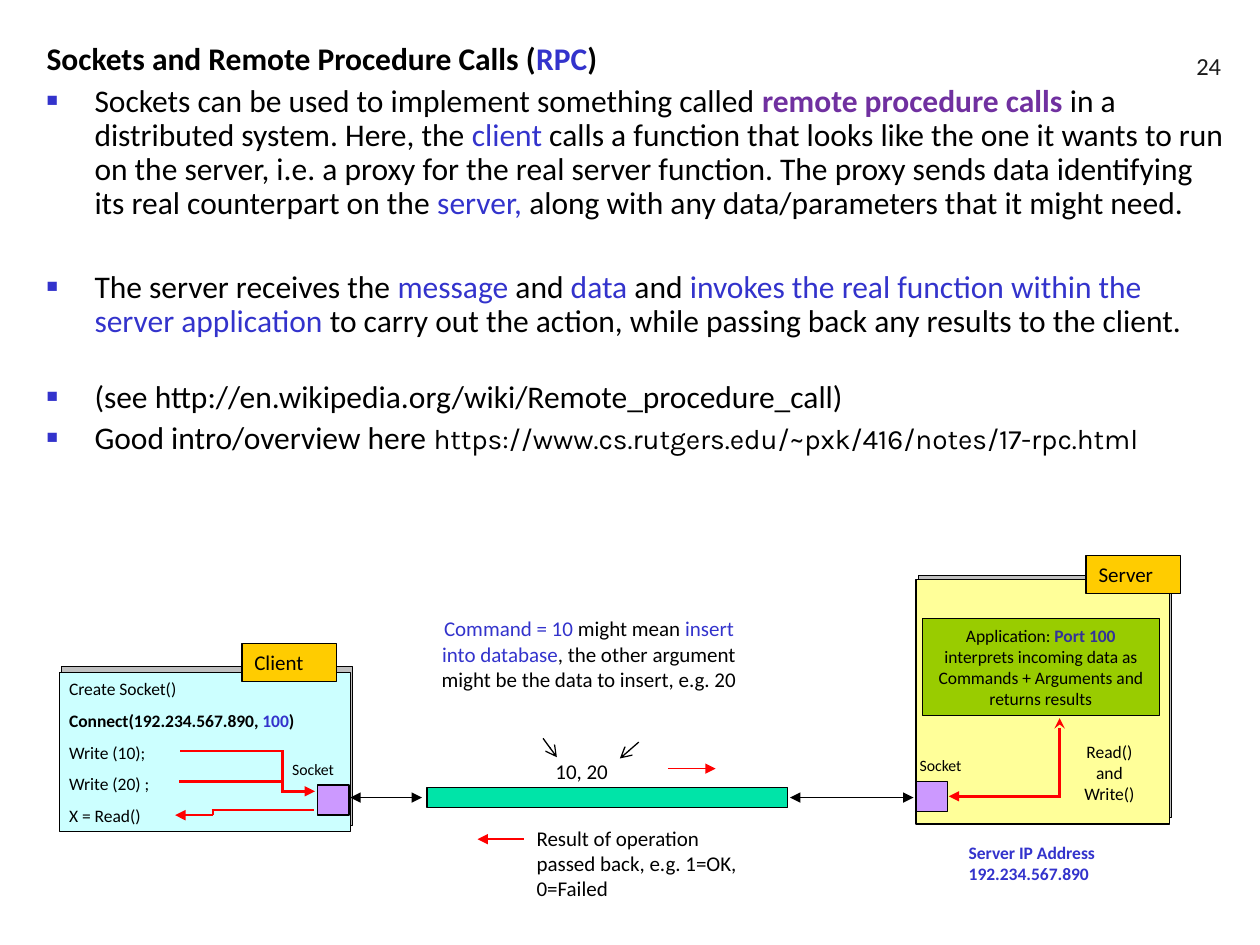
"""Build the slide on sockets and remote procedure calls."""
import pptx
import pptx.dml.color
import pptx.enum.shapes
import pptx.enum.text
import pptx.oxml
import pptx.oxml.ns
import pptx.util
from lxml import etree

Inches = pptx.util.Inches
Pt = pptx.util.Pt
RGB = pptx.dml.color.RGBColor
ALIGN = pptx.enum.text.PP_ALIGN
ANCHOR = pptx.enum.text.MSO_ANCHOR
qn = pptx.oxml.ns.qn

BLACK = RGB(0, 0, 0)
INK = RGB(0x1C, 0x1C, 0x1C)
BLUE = RGB(0x33, 0x33, 0xCC)
NAVY = RGB(0x33, 0x33, 0x99)
PURPLE = RGB(0x70, 0x30, 0xA0)
RED = RGB(0xFF, 0, 0)
GREY = RGB(0xC0, 0xC0, 0xC0)
TEAL = RGB(0, 0xE4, 0xA8)
CYAN = RGB(0xCC, 0xFF, 0xFF)
YELLOW = RGB(0xFF, 0xFF, 0x99)
GOLD = RGB(0xFF, 0xCC, 0)
LILAC = RGB(0xCC, 0x99, 0xFF)
GREEN = RGB(0x99, 0xCC, 0)

HEADING = [("Sockets and Remote Procedure Calls (", BLACK, True), ("RPC", BLUE, True), (")", BLACK, True)]
BULLETS = [
    (4.5, [
        ("Sockets can be used to implement something called ",),
        ("remote procedure calls", PURPLE, True),
        (" in a distributed system. Here, the ",),
        ("client", BLUE),
        (" calls a function that looks like the one it wants to run on the server, i.e. a proxy for the "
         "real server function. The proxy sends data identifying its real counterpart on the ",),
        ("server,", BLUE),
        (" along with any data/parameters that it might need.",),
    ]),
    (28.8, [
        ("The server receives the ",),
        ("message ", BLUE),
        ("and",),
        (" data", BLUE),
        (" and ",),
        ("invokes the real function within the server application", BLUE),
        (" to carry out the action, while passing back any results to the client.",),
    ]),
    (24, [("(see http://en.wikipedia.org/wiki/Remote_procedure_call)",)]),
    (4, [
        ("Good intro/overview here ",),
        ("https://www.cs.rutgers.edu/~pxk/416/notes/17-rpc.html", BLACK, False, 16, "Karla"),
    ]),
]

BOXES = [
    (0.49, 5.29, 2.31, 1.26, GREY),
    (7.29, 4.57, 2.01, 1.92, GREY),
    (3.39, 6.25, 2.86, 0.16, TEAL),
    (0.47, 5.34, 2.31, 1.26, CYAN),
    (7.27, 4.6, 2.01, 1.94, YELLOW),
    (2.52, 6.23, 0.25, 0.24, LILAC),
    (7.27, 6.2, 0.25, 0.24, LILAC),
]
LABELLED_BOXES = [
    (1.92, 5.11, 0.75, 0.3, GOLD, 12, ALIGN.LEFT, [[("Client",)]]),
    (8.62, 4.41, 0.75, 0.3, GOLD, 12, ALIGN.LEFT, [[("Server",)]]),
    (7.32, 4.91, 1.88, 0.77, GREEN, 10, ALIGN.CENTER, [[
        ("Application: ",), ("Port 100", NAVY, True), ("\n",),
        ("interprets incoming data as Commands + Arguments and returns results",)]]),
]
LABELS = [
    (2.22, 5.98, 0.82, 0.25, 9, ALIGN.LEFT, [[("Socket",)]]),
    (7.2, 5.95, 0.82, 0.25, 9, ALIGN.LEFT, [[("Socket",)]]),
    (7.59, 6.63, 1.63, 0.44, 10, ALIGN.LEFT, [[
        ("Server IP Address", BLUE, True), ("\n",), ("192.234.567.890", BLUE, True)]]),
    (0.45, 5.33, 2.39, 1.28, 10, ALIGN.LEFT, [
        [("Create Socket()",)],
        [("Connect(192.234.567.890, ", BLACK, True), ("100", BLUE, True), (")", BLACK, True)],
        [("Write (10);",)],
        [("Write (20) ;",)],
        [("X = Read()",)]]),
    (4.31, 5.97, 1.06, 0.3, 12, ALIGN.LEFT, [[("10, 20",)]]),
    (4.16, 6.5, 1.91, 0.7, 12, ALIGN.LEFT, [[("Result of operation passed back, e.g. 1=OK, 0=Failed",)]]),
    (3.31, 4.84, 2.73, 0.7, 12, ALIGN.CENTER, [[
        ("Command = 10", BLUE), (" might mean ",), ("insert into database", BLUE),
        (", the other argument might be the data to insert, e.g. 20",)]]),
    (8.42, 5.83, 0.77, 0.6, 10, ALIGN.CENTER, [[("Read() and Write()",)]]),
]
LINES = [
    (2.78, 6.33, 3.35, 6.33, BLACK, 0.75, "triangle", "triangle"),
    (6.27, 6.33, 7.25, 6.33, BLACK, 0.75, "triangle", "triangle"),
    (7.53, 6.32, 8.41, 6.32, RED, 1.5, "triangle", None),
    (8.41, 6.33, 8.41, 5.7, RED, 1.5, None, "stealth"),
    (2.25, 5.96, 1.43, 5.96, RED, 1.5, None, None),
    (2.24, 5.97, 2.24, 6.28, RED, 1.5, None, None),
    (2.23, 6.28, 2.5, 6.28, RED, 1.5, None, "triangle"),
    (1.68, 6.43, 2.49, 6.43, RED, 1.5, None, None),
    (1.39, 6.47, 1.69, 6.47, RED, 1.5, "triangle", None),
    (1.69, 6.43, 1.69, 6.47, RED, 1.5, None, None),
    (5.3, 6.1, 5.68, 6.1, RED, 0.75, None, "triangle"),
    (3.79, 6.66, 4.16, 6.66, RED, 0.75, "triangle", None),
    (4.31, 5.86, 4.42, 6.01, BLACK, 0.75, None, "arrow"),
    (5.07, 5.89, 4.92, 6.02, BLACK, 0.75, None, "arrow"),
    (2.24, 6.2, 1.42, 6.2, RED, 1.5, None, None),
]


def add_runs(paragraph, runs, base_size):
    for text, *style in runs:
        if text == "\n":
            paragraph.add_line_break()
            continue
        color, bold, size, face = style + [BLACK, False, base_size, "Calibri"][len(style):]
        run = paragraph.add_run()
        run.text = text
        run.font.name = face
        run.font.size = Pt(size)
        run.font.bold = bold
        run.font.color.rgb = color


def fill_text(shape, paragraphs, size, align, anchor=ANCHOR.TOP):
    frame = shape.text_frame
    frame.word_wrap = True
    frame.vertical_anchor = anchor
    for index, runs in enumerate(paragraphs):
        paragraph = frame.add_paragraph() if index else frame.paragraphs[0]
        paragraph.alignment = align
        if index:
            paragraph.space_before = Pt(6.2)
        add_runs(paragraph, runs, size)


def add_box(slide, left, top, width, height, color):
    box = slide.shapes.add_shape(pptx.enum.shapes.MSO_SHAPE.RECTANGLE,
                                 *map(Inches, (left, top, width, height)))
    box.shadow.inherit = False
    box.fill.solid()
    box.fill.fore_color.rgb = color
    box.line.color.rgb = BLACK
    box.line.width = Pt(0.75)
    return box


def add_line(slide, ends, color, width, head, tail):
    line = slide.shapes.add_connector(pptx.enum.shapes.MSO_CONNECTOR.STRAIGHT, *map(Inches, ends))
    line.line.color.rgb = color
    line.line.width = Pt(width)
    outline = line.line._get_or_add_ln()
    for tag, kind in (("a:headEnd", head), ("a:tailEnd", tail)):
        if kind:
            etree.SubElement(outline, qn(tag), type=kind)
    etree.SubElement(line._element.spPr, qn("a:effectLst"))


def set_bullet(paragraph, indent):
    properties = paragraph._p.get_or_add_pPr()
    properties.set("marL", str(indent))
    properties.set("indent", str(-indent))
    bullet_color = etree.SubElement(properties, qn("a:buClr"))
    etree.SubElement(bullet_color, qn("a:srgbClr"), val=str(BLUE))
    etree.SubElement(properties, qn("a:buSzPct"), val="60000")
    etree.SubElement(properties, qn("a:buFont"), typeface="Arial")
    etree.SubElement(properties, qn("a:buChar"), char="■")


def fill_body(body):
    body.left, body.top, body.width, body.height = map(Inches, (0.27, 0.29, 9.55, 6.91))
    frame = body.text_frame
    frame.auto_size = pptx.enum.text.MSO_AUTO_SIZE.NONE
    heading = frame.paragraphs[0]
    properties = heading._p.get_or_add_pPr()
    properties.set("marL", "0")
    properties.set("indent", "0")
    etree.SubElement(properties, qn("a:buNone"))
    heading.space_before = Pt(0)
    heading.line_spacing = 0.9
    add_runs(heading, HEADING, 18)
    for gap, runs in BULLETS:
        paragraph = frame.add_paragraph()
        set_bullet(paragraph, Inches(0.38))
        paragraph.line_spacing = 0.9
        paragraph.space_before = Pt(gap)
        add_runs(paragraph, runs, 18)


def main():
    deck = pptx.Presentation()
    deck.slide_width, deck.slide_height = Inches(10), Inches(7.5)
    slide = deck.slides.add_slide(deck.slide_layouts[1])
    title = slide.shapes.title._element
    title.getparent().remove(title)
    fill_body(slide.placeholders[1])
    page_number = slide.shapes.add_textbox(*map(Inches, (7.71, 0.19, 2.08, 0.5)))
    fill_text(page_number, [[("24", INK)]], 14, ALIGN.RIGHT, ANCHOR.BOTTOM)
    for box in BOXES:
        add_box(slide, *box)
    for *box, size, align, paragraphs in LABELLED_BOXES:
        fill_text(add_box(slide, *box), paragraphs, size, align)
    for *place, size, align, paragraphs in LABELS:
        fill_text(slide.shapes.add_textbox(*map(Inches, place)), paragraphs, size, align)
    for *ends, color, width, head, tail in LINES:
        add_line(slide, ends, color, width, head, tail)
    deck.save("out.pptx")


if __name__ == "__main__":
    main()
